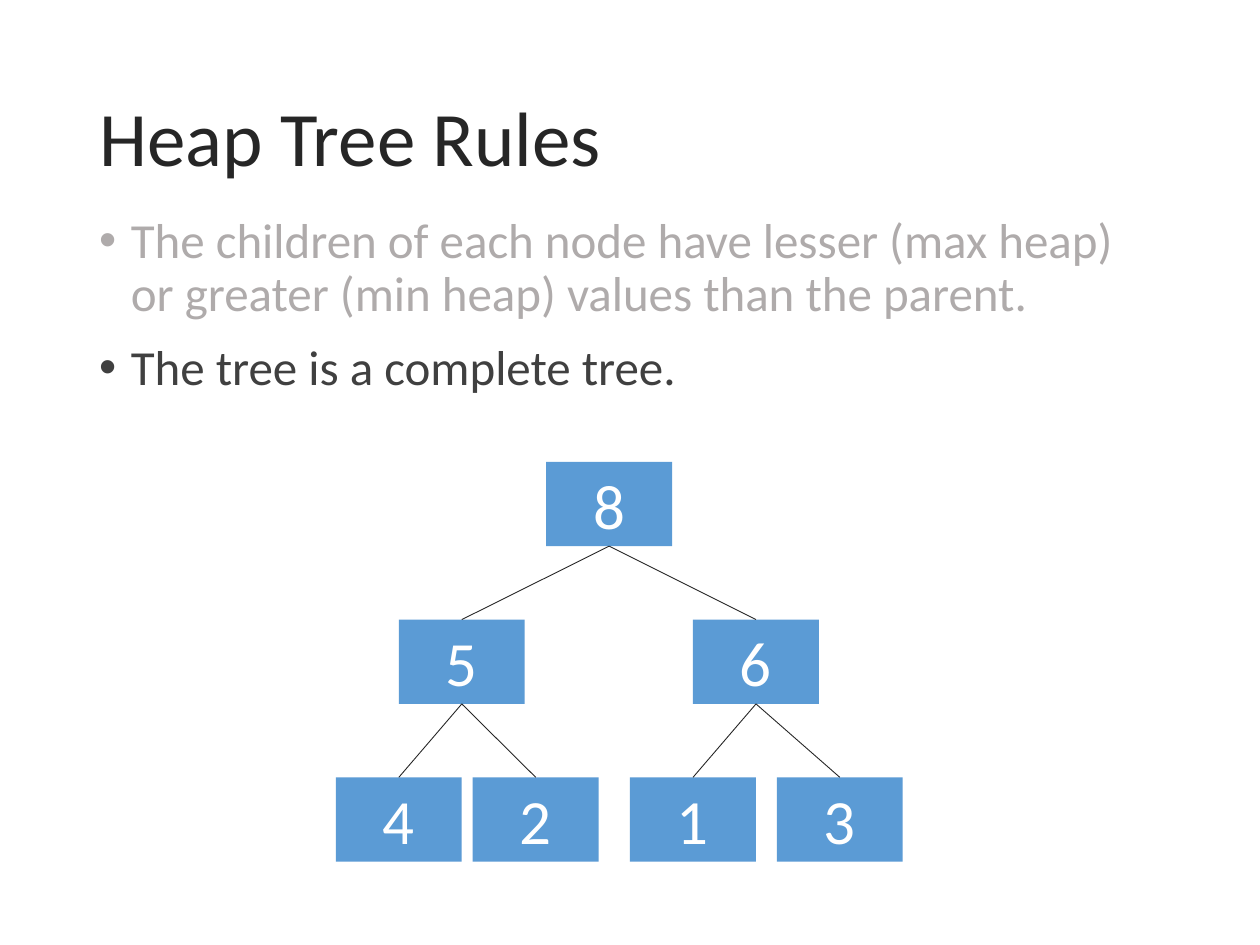
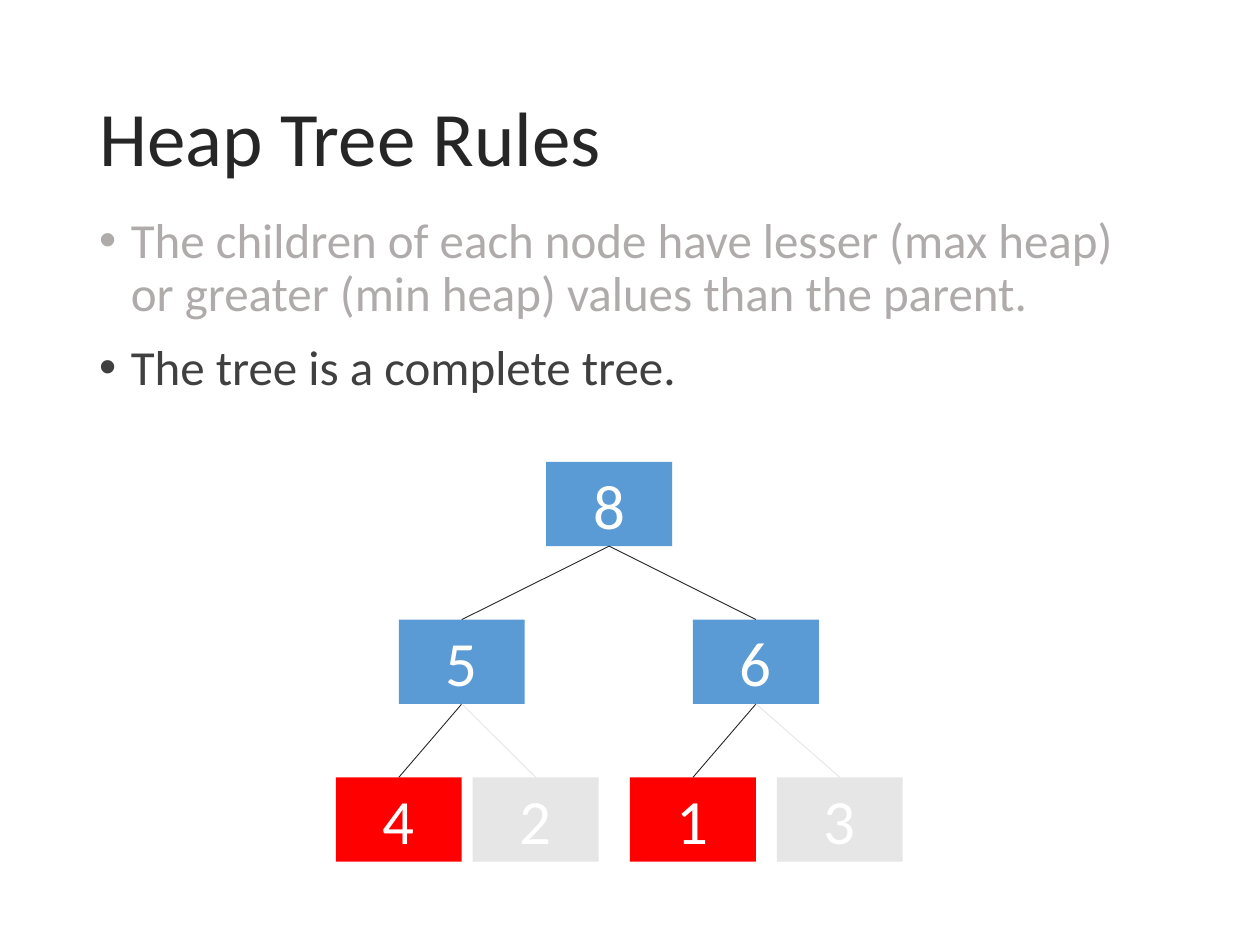
from lxml.etree import SubElement
from pptx import Presentation
from pptx.dml.color import RGBColor
from pptx.enum.shapes import MSO_CONNECTOR as Connector, MSO_SHAPE as Shape
from pptx.enum.text import MSO_ANCHOR as Anchor, PP_ALIGN as Align
from pptx.oxml.ns import qn
from pptx.util import Cm, Pt

FONT = "Calibri"
INK = RGBColor(0x26, 0x26, 0x26)
TEXT = RGBColor(0x40, 0x40, 0x40)
MUTED = RGBColor(0xAF, 0xAB, 0xAB)
WHITE = RGBColor(0xFF, 0xFF, 0xFF)
BLUE = RGBColor(0x5B, 0x9B, 0xD5)
RED = RGBColor(0xFF, 0x00, 0x00)
FADED = RGBColor(0xE7, 0xE6, 0xE6)

RULES = [
    ("The children of each node have lesser (max heap) or greater (min heap) values than the parent.", MUTED),
    ("The tree is a complete tree.", TEXT),
]
NODES = [
    ("8", 11.01, 0, None),
    ("5", 8.04, 1, "8"),
    ("6", 13.97, 1, "8"),
    ("4", 6.77, 2, "5"),
    ("2", 9.53, 2, "5"),
    ("1", 12.7, 2, "6"),
    ("3", 15.66, 2, "6"),
]
NODE_WIDTH, NODE_HEIGHT = Cm(2.54), Cm(1.7)
TREE_TOP, LEVEL_STEP = 9.31, 3.18
HIGHLIGHTS = [{}, {"4": RED, "1": RED, "2": FADED, "3": FADED}]


def add_span(para, text, size, color):
    span = para.add_run()
    span.text = text
    span.font.name = FONT
    span.font.size = Pt(size)
    span.font.color.rgb = color


def add_text_box(page, top, height):
    box = page.shapes.add_textbox(Cm(1.75), Cm(top), Cm(21.9), Cm(height))
    box.text_frame.word_wrap = True
    return box.text_frame


deck = Presentation()
deck.slide_width, deck.slide_height = Cm(25.4), Cm(19.05)

for highlight in HIGHLIGHTS:
    page = deck.slides.add_slide(deck.slide_layouts[6])

    title = add_text_box(page, 1.02, 3.68)
    title.vertical_anchor = Anchor.MIDDLE
    para = title.paragraphs[0]
    para.line_spacing = 0.9
    add_span(para, "Heap Tree Rules", 44, INK)

    body = add_text_box(page, 4.24, 4.01)
    for index, (rule, color) in enumerate(RULES):
        para = body.add_paragraph() if index else body.paragraphs[0]
        para.line_spacing = 0.9
        if index:
            para.space_before = Pt(12)
        properties = para._p.get_or_add_pPr()
        properties.set("marL", str(Cm(0.64)))
        properties.set("indent", str(-Cm(0.64)))
        SubElement(properties, qn("a:buFont"), typeface="Arial")
        SubElement(properties, qn("a:buChar"), char="•")
        add_span(para, rule, 28, color)

    boxes = {}
    for value, left, level, parent in NODES:
        top = TREE_TOP + level * LEVEL_STEP
        box = page.shapes.add_shape(Shape.RECTANGLE, Cm(left), Cm(top), NODE_WIDTH, NODE_HEIGHT)
        box.shadow.inherit = False
        box.fill.solid()
        box.fill.fore_color.rgb = highlight.get(value, BLUE)
        box.line.fill.background()
        box.text_frame.vertical_anchor = Anchor.MIDDLE
        para = box.text_frame.paragraphs[0]
        para.alignment = Align.CENTER
        add_span(para, value, 36, WHITE)
        boxes[value] = box

        if parent:
            branch = page.shapes.add_connector(Connector.STRAIGHT, 0, 0, 0, 0)
            branch.begin_connect(box, 0)
            branch.end_connect(boxes[parent], 2)
            branch.line.width = Pt(0.5)
            branch.line.color.rgb = FADED if highlight.get(value) == FADED else INK
            SubElement(branch._element.spPr, qn("a:effectLst"))

deck.save("out.pptx")
